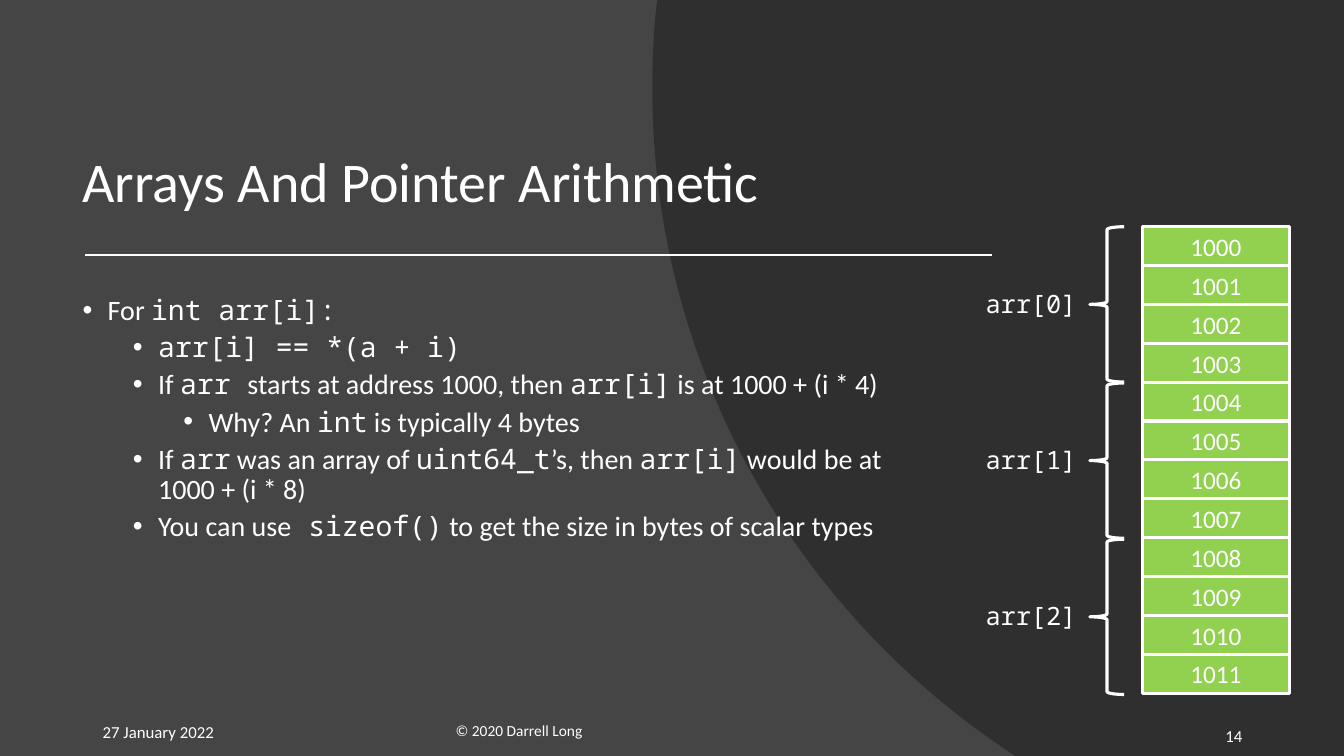
"""Build a slide on arrays and pointer arithmetic with a memory diagram."""
from dataclasses import dataclass

import lxml.etree
import pptx
import pptx.dml.color
import pptx.enum.shapes
import pptx.enum.text
import pptx.oxml.ns
import pptx.presentation
import pptx.shapes.autoshape
import pptx.slide
import pptx.text.text
import pptx.util

Inches = pptx.util.Inches
Pt = pptx.util.Pt
RGBColor = pptx.dml.color.RGBColor
Align = pptx.enum.text.PP_ALIGN
Anchor = pptx.enum.text.MSO_ANCHOR
Shape = pptx.enum.shapes.MSO_SHAPE
Point = tuple[float, float]


@dataclass(frozen=True)
class Theme:
    background: RGBColor = RGBColor(0x45, 0x45, 0x45)
    curve: RGBColor = RGBColor(0x26, 0x26, 0x26)
    curve_opacity: int = 70
    cell: RGBColor = RGBColor(0x92, 0xD0, 0x50)
    white: RGBColor = RGBColor(0xFF, 0xFF, 0xFF)
    text_font: str = "Calibri"
    code_font: str = "Noto Sans Mono"
    title_size: float = 40
    body_size: float = 20
    diagram_size: float = 18
    footer_size: float = 12
    copyright_size: float = 11
    rule_width: float = 1.5
    diagram_width: float = 2.25


@dataclass(frozen=True)
class Label:
    text: str
    left: float
    top: float
    width: float
    height: float
    size: float
    font: str = "Calibri"
    align: Align = Align.LEFT
    anchor: Anchor = Anchor.MIDDLE
    line_spacing: float = 1.0
    space_after: float = 0


@dataclass(frozen=True)
class Bullet:
    level: int
    runs: tuple[str, ...]
    code_first: bool = False


THEME = Theme()

LABELS = (
    Label("Arrays And Pointer Arithmetic", 0.72, 0.4, 9.86, 1.78, THEME.title_size,
          anchor=Anchor.BOTTOM, line_spacing=0.9),
    Label("© 2020 Darrell Long", 4.42, 7.05, 4.5, 0.4, THEME.copyright_size, space_after=6),
    Label("14", 9.42, 7.1, 3, 0.4, THEME.footer_size, align=Align.RIGHT),
    Label("27 January 2022", 0.92, 7.06, 3, 0.4, THEME.footer_size),
)

BULLETS = (
    Bullet(0, ("For ", "int arr[i]:")),
    Bullet(1, ("arr[i] == *(a + i)",), code_first=True),
    Bullet(1, ("If ", "arr ", "starts at address 1000, then ", "arr[i]", " is at 1000 + (i * 4)")),
    Bullet(2, ("Why? An ", "int", " is typically 4 bytes")),
    Bullet(1, ("If ", "arr", " was an array of ", "uint64_t", "’s, then ", "arr[i]",
               " would be at 1000 + (i * 8)")),
    Bullet(1, ("You can use", " sizeof()", " to get the size in bytes of scalar types")),
)

FIRST_ADDRESS = 1000
CELL_COUNT = 12
BYTES_PER_INT = 4
DIAGRAM_TOP = 2.25
CELL_PITCH = 4.24 / (CELL_COUNT - 1)
ELEMENT_PITCH = 1.55


def bezier(start: Point, control_1: Point, control_2: Point, end: Point, steps: int = 40) -> list[Point]:
    """Return the points along a cubic curve, without its start."""
    points = []
    for step in range(1, steps + 1):
        t = step / steps
        weights = ((1 - t) ** 3, 3 * t * (1 - t) ** 2, 3 * t ** 2 * (1 - t), t ** 3)
        corners = (start, control_1, control_2, end)
        points.append((sum(w * c[0] for w, c in zip(weights, corners)),
                       sum(w * c[1] for w, c in zip(weights, corners))))
    return points


def format_run(run: pptx.text.text._Run, font: str, size: float) -> None:
    """Give a run its font, size and colour."""
    run.font.name = font
    run.font.size = Pt(size)
    run.font.color.rgb = THEME.white


def add_curve(slide: pptx.slide.Slide) -> None:
    """Draw the translucent dark area on the right."""
    shoulder, bulge, top = (9.95, 7.42), (6.47, 0.88), (6.51, 0.07)
    points = [(13.33, 0), (13.33, 7.5), (10.07, 7.5), shoulder]
    points += bezier(shoulder, (7.85, 6), (6.47, 3.6), bulge)
    points += bezier(bulge, (6.47, 0.61), (6.48, 0.34), top, steps=8)
    builder = slide.shapes.build_freeform(Inches(6.52), 0)
    builder.add_line_segments([(Inches(x), Inches(y)) for x, y in points], close=True)
    shape = builder.convert_to_shape()
    shape.shadow.inherit = False
    shape.fill.solid()
    shape.fill.fore_color.rgb = THEME.curve
    shape.line.fill.background()
    color = shape.fill._xPr.find(".//" + pptx.oxml.ns.qn("a:srgbClr"))
    alpha = lxml.etree.SubElement(color, pptx.oxml.ns.qn("a:alpha"))
    alpha.set("val", str(THEME.curve_opacity * 1000))


def add_rule(slide: pptx.slide.Slide) -> None:
    """Draw the line under the title."""
    rule = slide.shapes.add_connector(pptx.enum.shapes.MSO_CONNECTOR.STRAIGHT,
                                      Inches(0.84), Inches(2.53), Inches(9.84), Inches(2.53))
    rule.line.color.rgb = THEME.white
    rule.line.width = Pt(THEME.rule_width)
    lxml.etree.SubElement(rule._element.spPr, pptx.oxml.ns.qn("a:effectLst"))


def add_label(slide: pptx.slide.Slide, label: Label) -> None:
    """Add a text box holding one formatted line."""
    box = slide.shapes.add_textbox(Inches(label.left), Inches(label.top),
                                   Inches(label.width), Inches(label.height))
    frame = box.text_frame
    frame.word_wrap = True
    frame.vertical_anchor = label.anchor
    frame.text = label.text
    paragraph = frame.paragraphs[0]
    paragraph.alignment = label.align
    paragraph.line_spacing = label.line_spacing
    paragraph.space_after = Pt(label.space_after)
    format_run(paragraph.runs[0], label.font, label.size)


def add_bullets(slide: pptx.slide.Slide, bullets: tuple[Bullet, ...]) -> None:
    """Add the bulleted text, alternating text and code runs."""
    box = slide.shapes.add_textbox(Inches(0.72), Inches(2.89), Inches(8.39), Inches(3.64))
    frame = box.text_frame
    frame.word_wrap = True
    for index, bullet in enumerate(bullets):
        paragraph = frame.add_paragraph() if index else frame.paragraphs[0]
        paragraph.level = bullet.level
        paragraph.line_spacing = 0.9
        paragraph.space_before = Pt(5 if bullet.level else 10)
        properties = paragraph._p.get_or_add_pPr()
        properties.set("marL", str(Inches(0.25 + 0.5 * bullet.level)))
        properties.set("indent", str(Inches(-0.25)))
        lxml.etree.SubElement(properties, pptx.oxml.ns.qn("a:buFont")).set("typeface", "Arial")
        lxml.etree.SubElement(properties, pptx.oxml.ns.qn("a:buChar")).set("char", "•")
        for position, text in enumerate(bullet.runs):
            run = paragraph.add_run()
            run.text = text
            is_code = bullet.code_first or position % 2 == 1
            format_run(run, THEME.code_font if is_code else THEME.text_font, THEME.body_size)


def add_outlined(slide: pptx.slide.Slide, kind: Shape, left: float, top: float,
                 width: float, height: float) -> pptx.shapes.autoshape.Shape:
    """Add an unfilled preset shape with the diagram outline."""
    shape = slide.shapes.add_shape(kind, Inches(left), Inches(top), Inches(width), Inches(height))
    shape.shadow.inherit = False
    shape.fill.background()
    shape.line.color.rgb = THEME.white
    shape.line.width = Pt(THEME.diagram_width)
    return shape


def add_memory(slide: pptx.slide.Slide) -> None:
    """Draw the memory cells with a brace and name for each element."""
    for index in range(CELL_COUNT):
        cell = add_outlined(slide, Shape.RECTANGLE, 11.33, DIAGRAM_TOP + index * CELL_PITCH, 1.46, 0.39)
        cell.fill.solid()
        cell.fill.fore_color.rgb = THEME.cell
        cell.text_frame.text = str(FIRST_ADDRESS + index)
        cell.text_frame.vertical_anchor = Anchor.MIDDLE
        paragraph = cell.text_frame.paragraphs[0]
        paragraph.alignment = Align.CENTER
        format_run(paragraph.runs[0], THEME.text_font, THEME.diagram_size)
    for element in range(CELL_COUNT // BYTES_PER_INT):
        top = DIAGRAM_TOP + element * ELEMENT_PITCH
        add_outlined(slide, Shape.LEFT_BRACE, 10.81, top, 0.34, 1.54)
        add_label(slide, Label(f"arr[{element}]", 9.64, top + 0.56, 1.17, 0.4, THEME.diagram_size,
                               THEME.code_font, Align.CENTER, Anchor.TOP))


def main() -> None:
    """Create the presentation and save it."""
    presentation = pptx.Presentation()
    presentation.slide_width = Inches(13.33)
    presentation.slide_height = Inches(7.5)
    slide = presentation.slides.add_slide(presentation.slide_layouts[6])
    slide.background.fill.solid()
    slide.background.fill.fore_color.rgb = THEME.background
    add_curve(slide)
    add_rule(slide)
    add_bullets(slide, BULLETS)
    add_memory(slide)
    for label in LABELS:
        add_label(slide, label)
    presentation.save("out.pptx")


if __name__ == "__main__":
    main()
